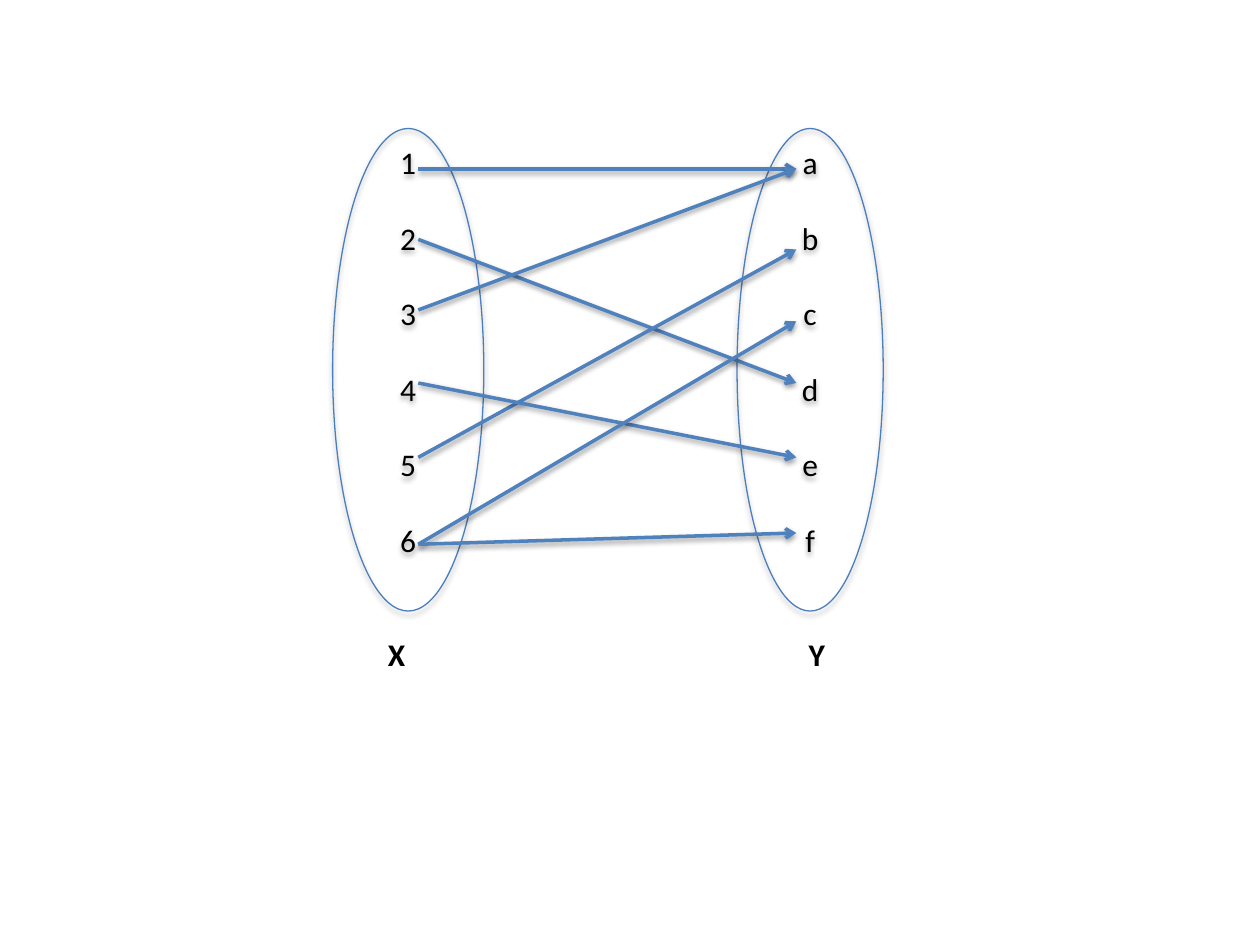
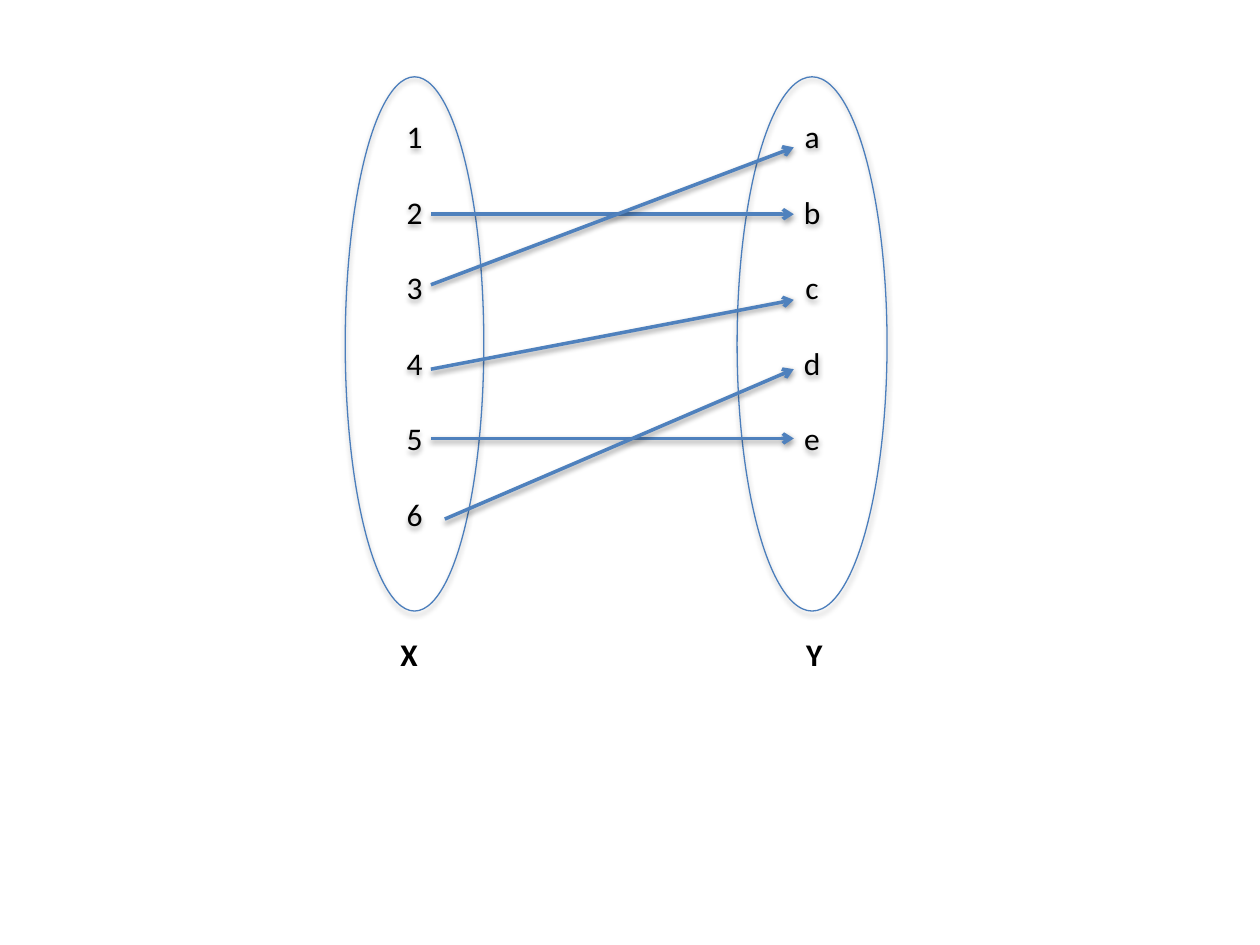
from dataclasses import dataclass

from lxml.etree import SubElement
from pptx import Presentation
from pptx.dml.color import RGBColor
from pptx.enum.shapes import MSO_CONNECTOR, MSO_SHAPE
from pptx.enum.text import MSO_ANCHOR, MSO_AUTO_SIZE, PP_ALIGN
from pptx.oxml.ns import qn
from pptx.util import Inches, Pt

# Slide and grid: 100 columns by 75 rows
WIDTH, HEIGHT = Inches(10), Inches(7.5)
COL, ROW = WIDTH / 100, HEIGHT / 75

# Shared look
OVAL_BLUE = RGBColor(0x4B, 0x7E, 0xBC)
ARROW_BLUE = RGBColor(0x4F, 0x81, 0xBD)
BLACK = RGBColor(0x00, 0x00, 0x00)
FONT, SIZE = "Calibri", Pt(18)
LINE_HEIGHT = Pt(21.6)
MAX_ELEMENTS = 6
OVAL_BOTTOM = 48.5
NAME_TOP, NAME_WIDTH, NAME_HEIGHT = 49.9, 3.4, 4


@dataclass(frozen=True)
class ElementSet:
    """An oval; ports gives each element's row where arrows meet it."""
    name: str
    left: float
    width: float
    port_col: float
    name_left: float
    ports: dict[str, float]


@dataclass(frozen=True)
class Mapping:
    """Arrows from domain to codomain, each a pair such as "1a"."""
    top: float
    domain: ElementSet
    codomain: ElementSet
    arrows: tuple[str, ...]
    start_cols: dict[str, float]


def domain(left: float, width: float, port_col: float, rows: tuple) -> ElementSet:
    return ElementSet("X", left, width, port_col, port_col - NAME_WIDTH, dict(zip("123456", rows)))


def codomain(left: float, width: float, port_col: float, rows: tuple) -> ElementSet:
    return ElementSet("Y", left, width, port_col, port_col, dict(zip("abcdef", rows)))


MAPPINGS = (
    Mapping(10.2,
            domain(26.4, 12, 33.2, (13.4, 19, 24.6, 30.4, 36.3, 43.2)),
            codomain(58.5, 11.6, 63.2, (13.4, 19.8, 25.5, 30.4, 36.3, 42.3)),
            ("1a", "2d", "3a", "5b", "4e", "6c", "6f"), {}),
    Mapping(6.1,
            domain(27.4, 11, 34.2, (11.7, 17, 22.6, 29.3, 34.8, 41.2)),
            codomain(58.5, 11.9, 63, (11.7, 17, 23.8, 29.3, 34.8)),
            ("2b", "5e", "4c", "3a", "6d"), {"6": 35.3}),
)


def x(cols: float) -> int:
    return round(cols * COL)


def y(rows: float) -> int:
    return round(rows * ROW)


def style_run(r, bold: bool = False) -> None:
    r.font.name, r.font.size, r.font.bold = FONT, SIZE, bold
    r.font.color.rgb = BLACK


def add_shadow(sp_pr, opacity: int, distance: float) -> None:
    effects = sp_pr.find(qn("a:effectLst"))
    if effects is None:
        effects = SubElement(sp_pr, qn("a:effectLst"))
    shadow = SubElement(effects, qn("a:outerShdw"), blurRad=str(Pt(3.1)),
                        dist=str(Pt(distance)), dir="5400000", rotWithShape="0")
    color = SubElement(shadow, qn("a:srgbClr"), val=str(BLACK))
    SubElement(color, qn("a:alpha"), val=str(opacity * 1000))


def draw_set(slide, group: ElementSet, top: float) -> None:
    # Oval
    sp = slide.shapes.add_shape(MSO_SHAPE.OVAL, x(group.left), y(top),
                                x(group.width), y(OVAL_BOTTOM - top))
    sp.fill.background()
    sp.line.color.rgb = OVAL_BLUE
    sp.line.width = Pt(0.75)
    sp.shadow.inherit = False
    add_shadow(sp.element.spPr, 35, 1.8)

    # Elements, with a line's gap between; the inset keeps both sets aligned
    tf = sp.text_frame
    tf.vertical_anchor = MSO_ANCHOR.MIDDLE
    unused_lines = 2 * (MAX_ELEMENTS - len(group.ports)) + 1
    tf.margin_bottom = Inches(0.05) + unused_lines * LINE_HEIGHT
    tf.text = "\n".join(group.ports)
    for i, p in enumerate(tf.paragraphs):
        p.alignment = PP_ALIGN.CENTER
        p.space_before = LINE_HEIGHT if i else Pt(0)
        style_run(p.runs[0])

    # Set name
    box = slide.shapes.add_textbox(x(group.name_left), y(NAME_TOP), x(NAME_WIDTH), y(NAME_HEIGHT))
    tf = box.text_frame
    tf.word_wrap = False
    tf.auto_size = MSO_AUTO_SIZE.SHAPE_TO_FIT_TEXT
    tf.text = group.name
    style_run(tf.paragraphs[0].runs[0], bold=True)


def draw_arrow(slide, mapping: Mapping, pair: str) -> None:
    source, target = pair
    start_col = mapping.start_cols.get(source, mapping.domain.port_col)
    line = slide.shapes.add_connector(
        MSO_CONNECTOR.STRAIGHT,
        x(start_col), y(mapping.domain.ports[source]),
        x(mapping.codomain.port_col), y(mapping.codomain.ports[target]))
    line.line.color.rgb = ARROW_BLUE
    line.line.width = Pt(2)
    sp_pr = line.element.spPr
    SubElement(sp_pr.find(qn("a:ln")), qn("a:tailEnd"), type="arrow")
    add_shadow(sp_pr, 38, 1.6)


def main() -> None:
    prs = Presentation()
    prs.slide_width, prs.slide_height = WIDTH, HEIGHT
    for mapping in MAPPINGS:
        slide = prs.slides.add_slide(prs.slide_layouts[6])
        for group in (mapping.domain, mapping.codomain):
            draw_set(slide, group, mapping.top)
        for pair in mapping.arrows:
            draw_arrow(slide, mapping, pair)
    prs.save("out.pptx")


if __name__ == "__main__":
    main()
